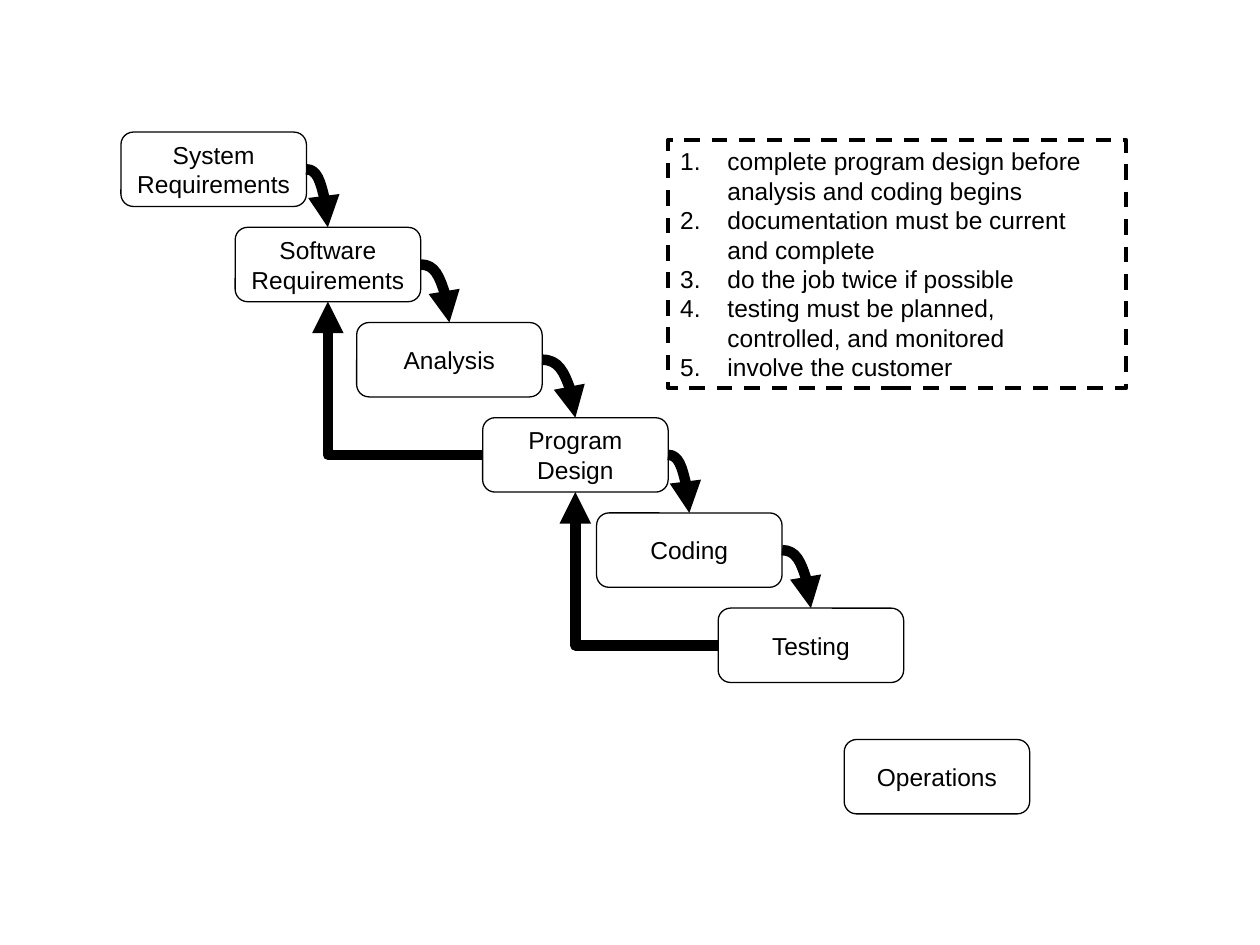
from dataclasses import dataclass

from pptx import Presentation
from pptx import util as u
from pptx.dml.color import RGBColor
from pptx.enum import dml, shapes, text
from pptx.oxml import ns
from lxml import etree


@dataclass(frozen=True)
class Theme:
    ink: RGBColor = RGBColor(0, 0, 0)
    font: str = "Arial"
    text_size: float = 14
    box_line: float = 0.75
    frame_line: float = 2.25
    arrow_line: float = 6


THEME = Theme()
STAGE_SIZE = (106, 42.5)
FIRST_TOP, STEP_DOWN = 75.5, 54.4
OPERATIONS_TOP = 422.6
STAGES = [
    ("System Requirements", 69.1),
    ("Software Requirements", 134.4),
    ("Analysis", 203.8),
    ("Program\vDesign", 275.8),
    ("Coding", 340.9),
    ("Testing", 410.4),
    ("Operations", 482.4),
]
FEEDBACK = [(5, 3), (3, 1)]
RULES = [
    "complete program design before analysis and coding begins",
    "documentation must be current and complete",
    "do the job twice if possible",
    "testing must be planned, controlled, and monitored",
    "involve the customer",
]
TOP, LEFT, BOTTOM, RIGHT = range(4)


def apply(target, values):
    for name, value in values.items():
        setattr(target, name, value)


def add_child(parent, tag, **attributes):
    return etree.SubElement(parent, ns.qn(tag), attributes)


def write(para, words):
    para.text = words
    apply(para.font, {"name": THEME.font, "size": u.Pt(THEME.text_size)})
    para.font.color.rgb = THEME.ink


def add_box(page, kind, left, top, width, height, line_width):
    box = page.shapes.add_shape(kind, *map(u.Pt, (left, top, width, height)))
    box.shadow.inherit = False
    box.fill.background()
    box.line.color.rgb = THEME.ink
    box.line.width = u.Pt(line_width)
    apply(box.text_frame, {"word_wrap": True,
                           "vertical_anchor": text.MSO_ANCHOR.MIDDLE})
    return box


def add_stage(page, label, left, top):
    box = add_box(page, shapes.MSO_SHAPE.ROUNDED_RECTANGLE, left, top,
                  *STAGE_SIZE, THEME.box_line)
    para = box.text_frame.paragraphs[0]
    para.alignment = text.PP_ALIGN.CENTER
    write(para, label)
    return box


def add_arrow(page, kind, preset, start, start_side, end, end_side):
    """Join two stages with a one-bend connector that ends in an arrowhead."""
    arrow = page.shapes.add_connector(kind, 0, 0, 0, 0)
    arrow.begin_connect(start, start_side)
    arrow.end_connect(end, end_side)
    arrow.line.color.rgb = THEME.ink
    arrow.line.width = u.Pt(THEME.arrow_line)
    properties = arrow._element.spPr
    properties.find(ns.qn("a:prstGeom")).set("prst", preset)
    add_child(arrow.line._get_or_add_ln(), "a:tailEnd", type="triangle")
    add_child(properties, "a:effectLst")


def add_rules(page):
    box = add_box(page, shapes.MSO_SHAPE.RECTANGLE, 381.6, 80, 262, 141.8,
                  THEME.frame_line)
    box.line.dash_style = dml.MSO_LINE.DASH
    frame = box.text_frame
    frame.auto_size = text.MSO_AUTO_SIZE.SHAPE_TO_FIT_TEXT
    for index, rule in enumerate(RULES):
        para = frame.add_paragraph() if index else frame.paragraphs[0]
        para.alignment = text.PP_ALIGN.LEFT
        properties = para._p.get_or_add_pPr()
        indent = u.Pt(27)
        properties.set("marL", str(indent))
        properties.set("indent", str(-indent))
        add_child(properties, "a:buFont", typeface=THEME.font)
        add_child(properties, "a:buAutoNum", type="arabicPeriod")
        write(para, rule)


def main():
    deck = Presentation()
    apply(deck, {"slide_width": u.Pt(720), "slide_height": u.Pt(540)})
    page = deck.slides.add_slide(deck.slide_layouts[6])

    tops = [FIRST_TOP + STEP_DOWN * step for step in range(len(STAGES) - 1)]
    tops.append(OPERATIONS_TOP)
    stages = [add_stage(page, label, left, top)
              for (label, left), top in zip(STAGES, tops)]

    flow = stages[:-1]
    for stage, following in zip(flow, flow[1:]):
        add_arrow(page, shapes.MSO_CONNECTOR.CURVE, "curvedConnector2",
                  stage, RIGHT, following, TOP)
    for late, early in FEEDBACK:
        add_arrow(page, shapes.MSO_CONNECTOR.ELBOW, "bentConnector2",
                  stages[late], LEFT, stages[early], BOTTOM)
    add_rules(page)
    deck.save("out.pptx")


if __name__ == "__main__":
    main()
